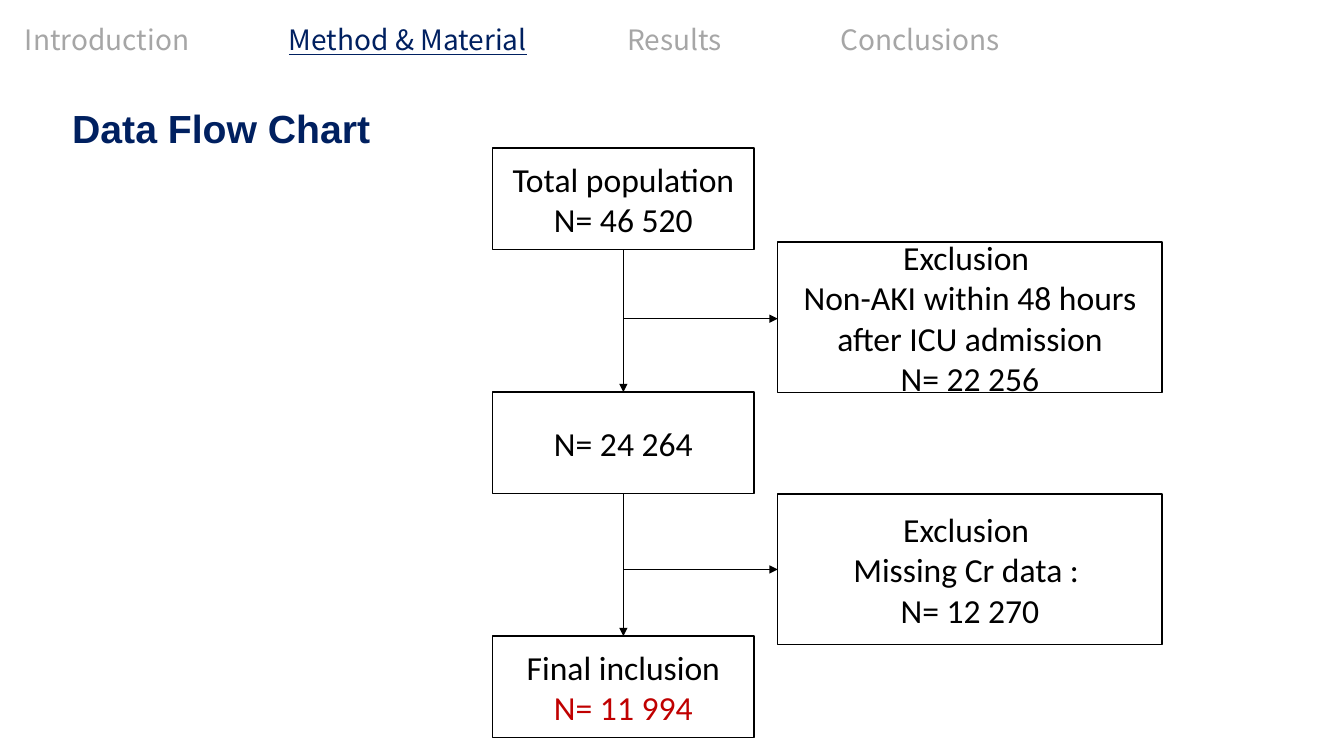
from lxml import etree
from pptx import Presentation
from pptx.dml.color import RGBColor
from pptx.enum.shapes import MSO_CONNECTOR, MSO_SHAPE
from pptx.enum.text import MSO_ANCHOR, PP_ALIGN
from pptx.oxml.ns import qn
from pptx.util import Cm, Pt

RECTANGLE = MSO_SHAPE.RECTANGLE
STRAIGHT = MSO_CONNECTOR.STRAIGHT
MIDDLE = MSO_ANCHOR.MIDDLE
CENTER = PP_ALIGN.CENTER

NAVY = RGBColor(0x00, 0x20, 0x60)
GREY = RGBColor(0xA6, 0xA6, 0xA6)
BLACK = RGBColor(0x00, 0x00, 0x00)
RED = RGBColor(0xC0, 0x00, 0x00)

TITLE_FONT = {"name": "Arial", "size": Pt(28), "bold": True}
BOX_FONT = {"name": "Calibri", "size": Pt(24)}
NAVIGATION_FONT = {"name": "Noto Sans CJK KR", "size": Pt(20)}

SECTIONS = ["Introduction", "Method & Material", "Results", "Conclusions"]
CURRENT_SECTION = "Method & Material"
SECTION_STOPS = [6.65, 15.18, 20.55]

MAIN_LEFT, MAIN_WIDTH, MAIN_HEIGHT = 12.42, 6.58, 2.56
MAIN_CENTER = MAIN_LEFT + MAIN_WIDTH / 2
MAIN_TOP, MAIN_STEP = 3.73, 6.15
MAIN_BOXES = [
    [("Total population", BLACK), ("N= 46 520", BLACK)],
    [("N= 24 264", BLACK)],
    [("Final inclusion", BLACK), ("N= 11 994", RED)],
]

SIDE_LEFT, SIDE_WIDTH, SIDE_HEIGHT = 19.6, 9.69, 3.8
EXCLUSIONS = [
    (6.1, 8.03, ["Exclusion ", "Non-AKI within 48 hours after ICU admission", "N= 22 256"]),
    (12.45, 14.35, ["Exclusion ", "Missing Cr data : \vN= 12 270"]),
]


class FlowSlide:
    """Draws the styled elements of a flow chart on one slide."""

    def __init__(self, presentation):
        self.slide = presentation.slides.add_slide(presentation.slide_layouts[6])
        self.line_width = Pt(1)

    def style_run(self, run, font, color, **extra):
        """Apply a font format and a colour to a run."""
        for attribute, value in {**font, **extra}.items():
            setattr(run.font, attribute, value)
        run.font.color.rgb = color

    def text_box(self, left, top, width, height):
        """Add a wrapping text box and return its first paragraph."""
        shape = self.slide.shapes.add_textbox(Cm(left), Cm(top), Cm(width), Cm(height))
        shape.text_frame.word_wrap = True
        return shape.text_frame.paragraphs[0]

    def title(self, text, left, top, width, height):
        """Add the slide heading."""
        paragraph = self.text_box(left, top, width, height)
        paragraph.line_spacing = 0.9
        paragraph.space_before = Pt(10)
        paragraph.text = text
        self.style_run(paragraph.runs[0], TITLE_FONT, NAVY)

    def navigation(self, sections, current, left, top, width, height):
        """Add the section names on tab stops, with the current one marked."""
        paragraph = self.text_box(left, top, width, height)
        properties = paragraph._p.get_or_add_pPr()
        tab_list = etree.SubElement(properties, qn("a:tabLst"))
        for stop in SECTION_STOPS:
            etree.SubElement(tab_list, qn("a:tab"), pos=str(int(Cm(stop))), algn="l")
        for index, section in enumerate(sections):
            if index:
                tab = paragraph.add_run()
                tab.text = "\t"
                self.style_run(tab, NAVIGATION_FONT, GREY)
            run = paragraph.add_run()
            run.text = section
            active = section == current
            self.style_run(run, NAVIGATION_FONT, NAVY if active else GREY, underline=active)

    def box(self, lines, left, top, width, height):
        """Add an outlined box with centred lines of text."""
        shape = self.slide.shapes.add_shape(RECTANGLE, Cm(left), Cm(top), Cm(width), Cm(height))
        shape.shadow.inherit = False
        shape.fill.background()
        shape.line.color.rgb = BLACK
        shape.line.width = self.line_width
        frame = shape.text_frame
        frame.word_wrap = True
        frame.vertical_anchor = MIDDLE
        for index, (text, color) in enumerate(lines):
            paragraph = frame.add_paragraph() if index else frame.paragraphs[0]
            paragraph.alignment = CENTER
            paragraph.text = text
            for run in paragraph.runs:
                self.style_run(run, BOX_FONT, color)

    def arrow(self, start_x, start_y, end_x, end_y):
        """Add a straight arrow."""
        connector = self.slide.shapes.add_connector(
            STRAIGHT, Cm(start_x), Cm(start_y), Cm(end_x), Cm(end_y))
        connector.line.color.rgb = BLACK
        connector.line.width = self.line_width
        etree.SubElement(connector.line._get_or_add_ln(), qn("a:tailEnd"), type="triangle")
        etree.SubElement(connector._element.spPr, qn("a:effectLst"))


def main():
    """Build and save the data flow slide."""
    presentation = Presentation()
    presentation.slide_width = Cm(33.87)
    presentation.slide_height = Cm(19.05)
    flow = FlowSlide(presentation)

    flow.title("Data Flow Chart", 1.57, 2.64, 10, 1.47)
    for index, lines in enumerate(MAIN_BOXES):
        top = MAIN_TOP + index * MAIN_STEP
        flow.box(lines, MAIN_LEFT, top, MAIN_WIDTH, MAIN_HEIGHT)
        if index:
            flow.arrow(MAIN_CENTER, top - MAIN_STEP + MAIN_HEIGHT, MAIN_CENTER, top)
    for top, arrow_y, texts in EXCLUSIONS:
        flow.arrow(MAIN_CENTER, arrow_y, SIDE_LEFT, arrow_y)
        flow.box([(text, BLACK) for text in texts], SIDE_LEFT, top, SIDE_WIDTH, SIDE_HEIGHT)
    flow.navigation(SECTIONS, CURRENT_SECTION, 0.38, 0.43, 32.8, 1.12)

    presentation.save("out.pptx")


if __name__ == "__main__":
    main()
